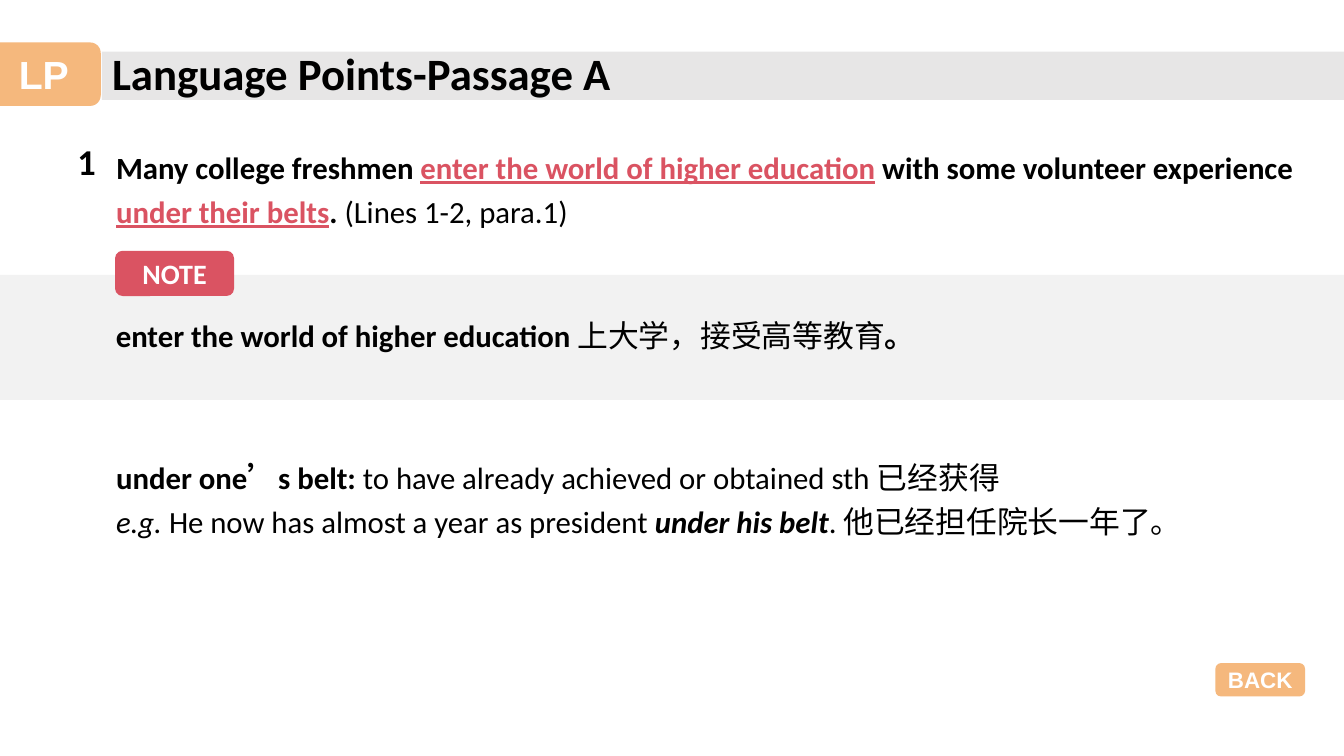
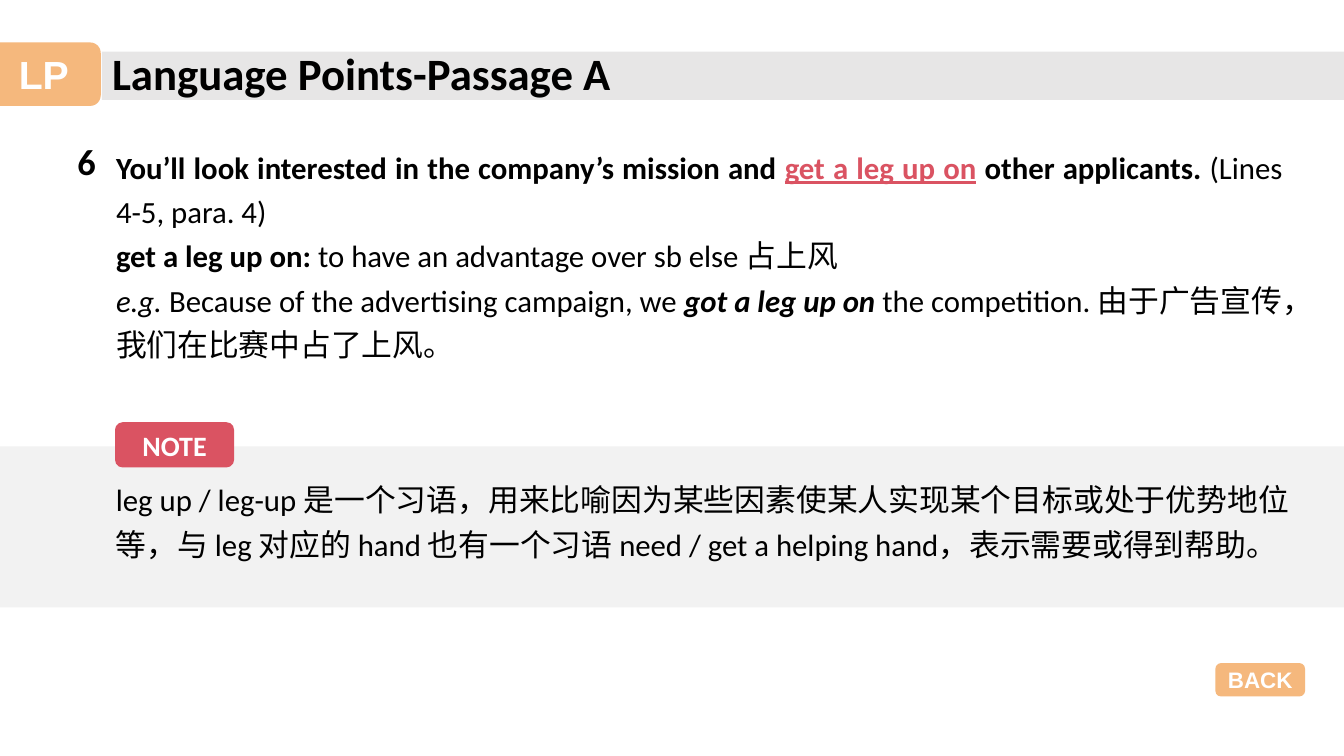
"""Build two language-point slides that share a title band, a section tag and a back button."""
from dataclasses import dataclass

from lxml import etree
from pptx import Presentation
from pptx.dml.color import RGBColor
from pptx.enum.shapes import MSO_SHAPE
from pptx.enum.text import MSO_ANCHOR, MSO_AUTO_SIZE, PP_ALIGN
from pptx.oxml.ns import qn
from pptx.util import Cm, Pt

RECTANGLE, ROUNDED = MSO_SHAPE.RECTANGLE, MSO_SHAPE.ROUNDED_RECTANGLE
LEFT, CENTER, JUSTIFY = PP_ALIGN.LEFT, PP_ALIGN.CENTER, PP_ALIGN.JUSTIFY
TOP, MIDDLE = MSO_ANCHOR.TOP, MSO_ANCHOR.MIDDLE
NO_AUTOFIT = MSO_AUTO_SIZE.NONE


@dataclass(frozen=True)
class Theme:
    ink: str = "000000"
    white: str = "FFFFFF"
    accent: str = "DA5362"
    orange: str = "F19B48"
    title_band: str = "E7E6E6"
    note_band: str = "F2F2F2"
    orange_opacity: int = 71
    text_font: str = "Calibri"
    label_font: str = "Arial"
    chinese_font: str = "Noto Sans CJK SC"
    title_size: int = 32
    tag_size: int = 28
    number_size: int = 26
    text_size: int = 22
    note_size: int = 20
    button_size: int = 16
    line_spacing: float = 1.2


THEME = Theme()
SLIDE_WIDTH, SLIDE_HEIGHT = 33.87, 19.05
TEXT_LEFT = 2.67
BAND_LEFT = 2.57
BADGE_RISE = 0.61


def write(paragraph, runs, size, color=THEME.ink, font=THEME.text_font):
    """Add (text, style) runs; styles are b bold, i italic, k key phrase, c Chinese."""
    for text, style in runs:
        run = paragraph.add_run()
        run.text = text
        run.font.size = Pt(size)
        run.font.bold = "b" in style
        run.font.italic = "i" in style
        run.font.underline = "k" in style
        run.font.color.rgb = RGBColor.from_string(THEME.accent if "k" in style else color)
        run.font.name = THEME.chinese_font if "c" in style else font
        east_asian = etree.SubElement(run.font._element, qn("a:ea"))
        east_asian.set("typeface", THEME.chinese_font)


def add_block(slide, kind, box, fill, opacity=100, label="", size=0, font=THEME.label_font):
    """Add a filled shape with an optional centred label."""
    shape = slide.shapes.add_shape(kind, *map(Cm, box))
    shape.shadow.inherit = False
    shape.line.fill.background()
    shape.fill.solid()
    shape.fill.fore_color.rgb = RGBColor.from_string(fill)
    if opacity < 100:
        color = shape.element.spPr.find(qn("a:solidFill"))[0]
        etree.SubElement(color, qn("a:alpha")).set("val", str(opacity * 1000))
    if label:
        frame = shape.text_frame
        frame.word_wrap = False
        frame.vertical_anchor = MIDDLE
        frame.paragraphs[0].alignment = CENTER
        write(frame.paragraphs[0], [(label, "b")], size, THEME.white, font)
    return shape


POINTS = [
    {
        "number": "1",
        "alignment": LEFT,
        "body_size": (30.66, 10.31),
        "band": (6.93, 3.15),
        "note": (7.67, 1.3),
        "body": [
            (0, [("Many college freshmen ", "b"),
                 ("enter the world of higher education", "bk"),
                 (" with some volunteer experience", "b")]),
            (0, [("under their belts", "bk"), (". ", "b"), ("(Lines 1-2, para.1)", "")]),
            (158, [("under one", "b"), ("’", "bc"), ("s belt: ", "b"),
                   ("to have already achieved or obtained sth ", ""),
                   ("已经获得", "c")]),
            (0, [("e.g. ", "i"), ("He now has almost a year as president ", ""),
                 ("under his belt", "bi"), (". ", ""),
                 ("他已经担任院长一年了。", "c")]),
        ],
        "note_runs": [("enter the world of higher education ", "b"),
                      ("上大学，接受高等教育", "c"), ("。", "bc")],
    },
    {
        "number": "6",
        "alignment": JUSTIFY,
        "body_size": (29.9, 5.82),
        "band": (11.25, 4.06),
        "note": (11.81, 2.41),
        "body": [
            (0, [("You’ll look interested in the company’s mission and ", "b"),
                 ("get a leg up on", "bk"), (" other applicants. ", "b"),
                 ("(Lines 4-5, para. 4)", "")]),
            (0, [("get a leg up on: ", "b"),
                 ("to have an advantage over sb else ", ""), ("占上风", "c")]),
            (0, [("e.g. ", "i"), ("Because of the advertising campaign, we ", ""),
                 ("got a leg up on ", "bi"), ("the competition. ", ""),
                 ("由于广告宣传，我们在比赛中占了上风。", "c")]),
        ],
        "note_runs": [("leg up / leg-up 是一个习语，用来比喻因为某些因素使某人实现某个目标"
                       "或处于优势地位等，与 leg 对应的 hand 也有一个习语 "
                       "need / get a helping hand，表示需要或得到帮助。", "")],
    },
]

presentation = Presentation()
presentation.slide_width = Cm(SLIDE_WIDTH)
presentation.slide_height = Cm(SLIDE_HEIGHT)

layout = presentation.slide_layouts[1]
for placeholder in list(layout.placeholders):
    if placeholder.placeholder_format.idx > 1:
        placeholder.element.getparent().remove(placeholder.element)
layout_title = layout.placeholders[0]
layout_title.left, layout_title.top = Cm(BAND_LEFT), Cm(1.02)
layout_title.width, layout_title.height = Cm(14.05), Cm(1.63)

slides = [presentation.slides.add_slide(layout) for point in POINTS]

shared_blocks = [
    add_block(slides[0], RECTANGLE, (BAND_LEFT, 1.3, SLIDE_WIDTH - BAND_LEFT, 1.22),
              THEME.title_band),
    add_block(slides[0], ROUNDED, (-0.33, 1.07, 2.87, 1.6), THEME.orange,
              THEME.orange_opacity, "LP", THEME.tag_size),
    add_block(slides[0], ROUNDED, (30.63, 16.71, 2.26, 0.84), THEME.orange,
              THEME.orange_opacity, "BACK", THEME.button_size),
]
for position, block in enumerate(shared_blocks, start=2):
    layout.shapes.element.insert(position, block.element)

for slide, point in zip(slides, POINTS):
    band_top, band_height = point["band"]
    note_band = add_block(slide, RECTANGLE, (0, band_top, SLIDE_WIDTH, band_height),
                          THEME.note_band)
    slide.shapes.element.insert(2, note_band.element)

    title_frame = slide.shapes.title.text_frame
    title_frame.auto_size = NO_AUTOFIT
    title_frame.vertical_anchor = TOP
    title_frame.paragraphs[0].alignment = LEFT
    write(title_frame.paragraphs[0], [("Language Points", "b"), ("-Passage A", "b")],
          THEME.title_size)

    number_box = slide.shapes.add_textbox(Cm(1.7), Cm(3.38), Cm(1.19), Cm(1.37))
    number_box.text_frame.word_wrap = True
    write(number_box.text_frame.paragraphs[0], [(point["number"], "b")], THEME.number_size)

    body = slide.placeholders[1]
    body.left, body.top = Cm(TEXT_LEFT), Cm(3.43)
    body.width, body.height = map(Cm, point["body_size"])

    note_top, note_height = point["note"]
    note_box = slide.shapes.add_textbox(Cm(TEXT_LEFT), Cm(note_top), Cm(30.07), Cm(note_height))

    for shape, paragraphs in ((body, point["body"]), (note_box, [(0, point["note_runs"])])):
        frame = shape.text_frame
        frame.word_wrap = True
        frame.auto_size = NO_AUTOFIT
        for index, (space_before, runs) in enumerate(paragraphs):
            paragraph = frame.add_paragraph() if index else frame.paragraphs[0]
            paragraph.alignment = point["alignment"]
            paragraph.line_spacing = THEME.line_spacing
            paragraph.space_before = Pt(space_before)
            properties = paragraph._p.get_or_add_pPr()
            properties.set("marL", "0")
            properties.set("indent", "0")
            etree.SubElement(properties, qn("a:buNone"))
            write(paragraph, runs, THEME.text_size)

    add_block(slide, ROUNDED, (2.9, band_top - BADGE_RISE, 3, 1.14), THEME.accent,
              label="NOTE", size=THEME.note_size, font=THEME.text_font)

presentation.save("out.pptx")
